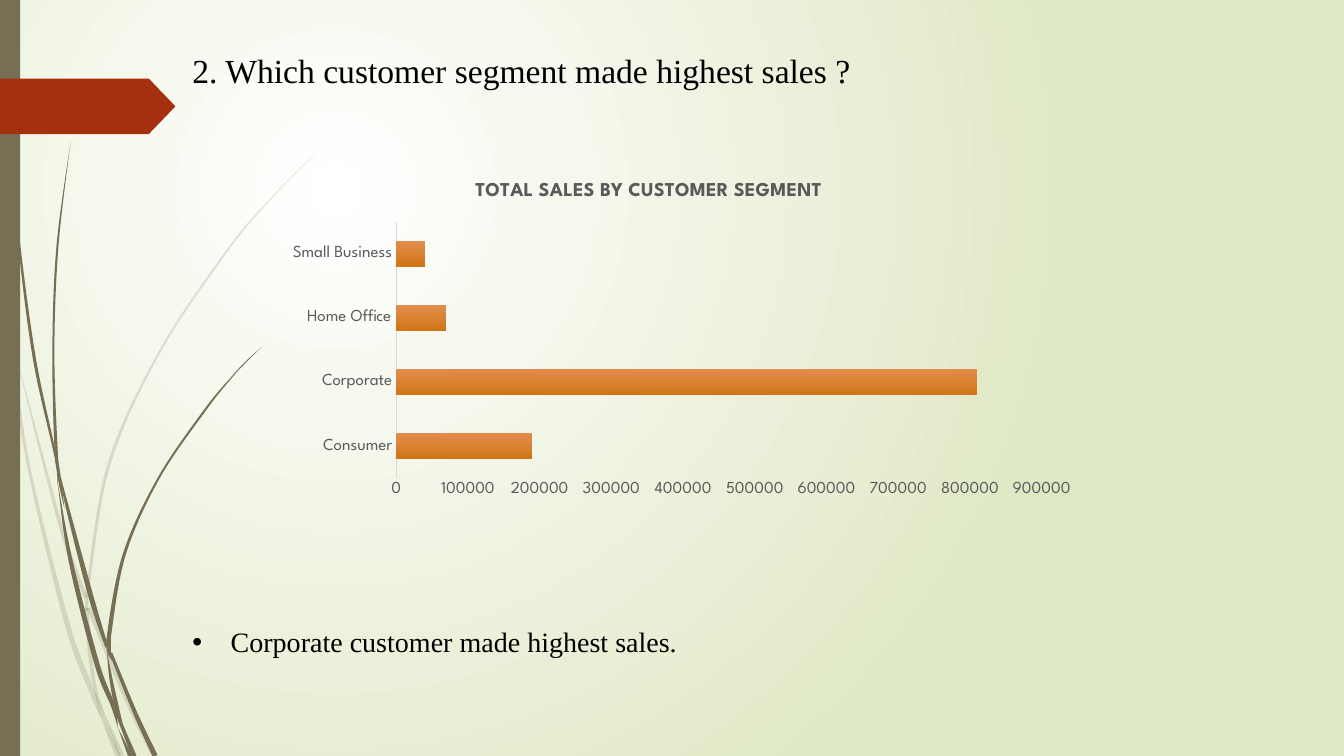
from math import hypot

from lxml.etree import SubElement
from pptx import Presentation
from pptx.chart.data import CategoryChartData
from pptx.dml.color import RGBColor
from pptx.enum.chart import XL_CHART_TYPE, XL_TICK_MARK
from pptx.enum.shapes import MSO_SHAPE
from pptx.enum.text import MSO_AUTO_SIZE
from pptx.oxml import parse_xml
from pptx.oxml.ns import nsdecls, qn
from pptx.util import Cm, Pt

TITLE = "2. Which customer segment made highest sales ?"
FINDING = "Corporate customer made highest sales."
CHART_TITLE = "TOTAL SALES BY CUSTOMER SEGMENT"
SALES = {"Consumer": 190000, "Corporate": 810000, "Home Office": 70000, "Small Business": 40000}

WHITE = RGBColor(0xFF, 0xFF, 0xFF)
BLACK = RGBColor(0, 0, 0)
PALE_GREEN = RGBColor(0xDF, 0xE8, 0xC4)
OLIVE = RGBColor(0x76, 0x6F, 0x54)
RUST = RGBColor(0xA5, 0x30, 0x10)
GREY = RGBColor(0x59, 0x59, 0x59)
AXIS_GREY = RGBColor(0xD9, 0xD9, 0xD9)
ORANGE_TOP = RGBColor(0xE1, 0x8D, 0x4C)
ORANGE_BOTTOM = RGBColor(0xCF, 0x75, 0x16)
SERIF = "Times New Roman"
SANS = "League Spartan"

FAINT_BLADES = [
    [(0, 2.9, .04), (.09, 3.33, .02), (.11, 3.5, 0)],
    [(.14, 3.45, 0), (.6, 5.21, .04), (.85, 5.93, .04)],
    [(.88, 6.03, .04), (1.25, 6.93, .04), (1.53, 7.5, .05)],
    [(1.05, 7.11, 0), (1.21, 7.5, .05)],
    [(.11, 3.5, 0), (.15, 3.76, .03), (.3, 4.7, .03), (.67, 6.2, .05), (.92, 6.88, .05), (1.01, 7.14, 0)],
    [(.86, 6.03, .04), (.89, 6.46, .04), (.95, 6.85, .03), (1.05, 7.11, 0)],
    [(3.12, 1.53, 0), (2.9, 1.75, .01), (2.68, 1.98, .01), (2.28, 2.45, .02), (1.59, 3.48, .02),
     (1.08, 4.61, .03), (.87, 5.84, .03), (.86, 5.91, .03)],
    [(1.01, 7.14, 0), (1.17, 7.5, .05)],
    [(.86, 5.91, .03), (.86, 6.06, .03)],
    [(.93, 6.83, 0), (1.03, 7.12, .04), (1.19, 7.5, .01)],
]
DARK_BLADES = [
    [(.04, 0, .01), (.04, .48, .01), (.07, 1.1, .01), (.18, 2.33, .02), (.34, 3.55, .03),
     (.55, 4.53, .02), (.57, 4.81, 0)],
    [(.6, 4.72, 0), (.66, 5, .03), (.9, 5.91, .05), (1.06, 6.42, .03)],
    [(1.1, 6.48, .03), (1.34, 7.07, .04), (1.54, 7.5, .05)],
    [(.57, 4.77, 0), (.7, 5.56, .04), (.96, 6.58, .05), (1.12, 7, .04), (1.17, 7.22, 0)],
    [(.7, 1.41, 0), (.57, 2.45, .02), (.53, 3.49, .02), (.56, 4.51, .03), (.6, 4.72, 0)],
    [(1.22, 7.19, 0), (1.34, 7.5, .03)],
    [(.56, 4.49, .01), (.59, 4.75, .03), (.64, 5.05, 0)],
    [(2.6, 3.44, 0), (2.45, 3.58, .01), (2.31, 3.73, .01), (2.04, 4.06, .02), (1.57, 4.75, .02),
     (1.23, 5.51, .03), (1.08, 6.32, .04), (1.1, 6.41, 0)],
    [(1.17, 7.22, 0), (1.29, 7.5, .04)],
    [(1.06, 6.45, 0), (1.1, 6.73, .03), (1.16, 7.02, .04), (1.22, 7.19, 0)],
    [(1.08, 6.32, .04), (1.08, 6.45, .04), (1.11, 6.56, 0)],
    [(1.1, 6.91, 0), (1.17, 7.1, .03), (1.32, 7.5, .03)],
]


def inch(v):
    return Cm(v * 2.54)


def box(*lengths):
    return [inch(v) for v in lengths]


def edge_of(blade, side):
    edge = []
    for i, (x, y, w) in enumerate(blade):
        x0, y0, _ = blade[max(i - 1, 0)]
        x1, y1, _ = blade[min(i + 1, len(blade) - 1)]
        reach = side * w / 2 / hypot(x1 - x0, y1 - y0)
        edge.append((x + (y1 - y0) * reach, y - (x1 - x0) * reach))
    return edge


def bezier_points(edge):
    ends = [edge[0], *edge, edge[-1]]
    points = []
    for a, b, c, d in zip(ends, ends[1:], ends[2:], ends[3:]):
        points.append([q + (r - p) / 6 for p, q, r in zip(a, b, c)])
        points.append([r - (t - q) / 6 for q, r, t in zip(b, c, d)])
        points.append(c)
    return points


def add_blade(blade, alpha):
    left, right = edge_of(blade, 1), edge_of(blade, -1)[::-1]
    outline = [left[0], *bezier_points(left), right[0], right[0], right[0], *bezier_points(right)]
    outline = [box(*point) for point in outline]
    builder = s.shapes.build_freeform(*outline[0])
    for point in outline[1:]:
        builder.add_line_segments([point], close=False)
    sp = builder.convert_to_shape()
    curve_path = sp._element.find(".//" + qn("a:path"))
    lines = curve_path.findall(qn("a:lnTo"))
    for i in range(0, len(lines), 3):
        curve = SubElement(curve_path, qn("a:cubicBezTo"))
        for line in lines[i:i + 3]:
            curve.append(line[0])
            curve_path.remove(line)
    SubElement(curve_path, qn("a:close"))
    paint(sp, OLIVE, alpha)


def paint(sp, color, alpha=100):
    sp.shadow.inherit = False
    sp.fill.solid()
    sp.fill.fore_color.rgb = color
    sp.line.fill.background()
    if alpha < 100:
        color_el = sp._element.spPr.find(qn("a:solidFill"))[0]
        SubElement(color_el, qn("a:alpha")).set("val", str(alpha * 1000))


def set_gradient(fill, first, last):
    fill.gradient()
    for stop, color in zip(fill.gradient_stops, (first, last)):
        stop.color.rgb = color


def set_font(font, name, size, color, bold=False):
    font.name, font.size, font.bold = name, Pt(size), bold
    font.color.rgb = color


def add_text(text, place, size):
    tf = s.shapes.add_textbox(*box(*place)).text_frame
    tf.text = text
    tf.word_wrap = True
    set_font(tf.paragraphs[0].runs[0].font, SERIF, size, BLACK)
    return tf


def set_layout(parent, index, **values):
    for old in parent.findall(qn("c:layout")):
        parent.remove(old)
    inner = "".join(f'<c:{k} val="{v}"/>' for k, v in values.items())
    parent.insert(index, parse_xml(
        f'<c:layout {nsdecls("c")}><c:manualLayout>{inner}</c:manualLayout></c:layout>'))


prs = Presentation()
prs.slide_width, prs.slide_height = box(13.33, 7.5)
s = prs.slides.add_slide(prs.slide_layouts[6])

set_gradient(s.background.fill, WHITE, PALE_GREEN)
grad = s.background._cSld.find(".//" + qn("a:gradFill"))
grad.remove(grad.find(qn("a:lin")))
grad.append(parse_xml(f'<a:path {nsdecls("a")} path="circle">'
                      '<a:fillToRect l="50000" t="50000" r="100000" b="100000"/></a:path>'))

for blades, alpha in ((FAINT_BLADES, 20), (DARK_BLADES, 100)):
    for blade in blades:
        add_blade(blade, alpha)
paint(s.shapes.add_shape(MSO_SHAPE.RECTANGLE, *box(0, 0, .2, 7.5)), OLIVE)
tag = s.shapes.add_shape(MSO_SHAPE.PENTAGON, *box(0, .78, 1.74, .55))
tag.adjustments[0] = .48
paint(tag, RUST)

add_text(TITLE, (1.81, .45, 8.41, 1.31), 24)

data = CategoryChartData(number_format="General")
data.categories = list(SALES)
data.add_series("Series 1", list(SALES.values()))
chart = s.shapes.add_chart(XL_CHART_TYPE.BAR_STACKED, *box(1.59, 1.54, 9.36, 3.59), data).chart
set_font(chart.font, SANS, 12, GREY)
chart.has_legend = False
chart.has_title = True
tf = chart.chart_title.text_frame
tf.text = CHART_TITLE
set_font(tf.paragraphs[0].runs[0].font, SANS, 14, GREY, True)
set_layout(chart.chart_title._element, 1, xMode="edge", yMode="edge", x=.33, y=.06)
set_layout(chart._chartSpace.chart.plotArea, 0, layoutTarget="inner", xMode="edge", yMode="edge",
           x=.25, y=.185, w=.684, h=.708)
for axis in (chart.category_axis, chart.value_axis):
    axis.major_tick_mark = axis.minor_tick_mark = XL_TICK_MARK.NONE
    axis.has_major_gridlines = False
    set_font(axis.tick_labels.font, SANS, 12, GREY)
chart.category_axis.format.line.color.rgb = AXIS_GREY
chart.category_axis.format.line.width = Pt(.75)
chart.value_axis.format.line.fill.background()
chart.value_axis.minimum_scale, chart.value_axis.maximum_scale = 0, 900000
chart.value_axis.major_unit = 100000
plot = chart.plots[0]
plot.gap_width, plot.overlap, plot.vary_by_categories = 150, 100, False
bar_fill = plot.series[0].format.fill
set_gradient(bar_fill, ORANGE_TOP, ORANGE_BOTTOM)
bar_fill.gradient_angle = 270

tf = add_text(FINDING, (1.81, 6.15, 5.04, .44), 20)
tf.word_wrap = False
tf.auto_size = MSO_AUTO_SIZE.SHAPE_TO_FIT_TEXT
pPr = tf.paragraphs[0]._p.get_or_add_pPr()
pPr.set("marL", str(inch(.38)))
pPr.set("indent", str(-inch(.38)))
SubElement(pPr, qn("a:buFont")).set("typeface", "Arial")
SubElement(pPr, qn("a:buChar")).set("char", "•")

prs.save("out.pptx")
